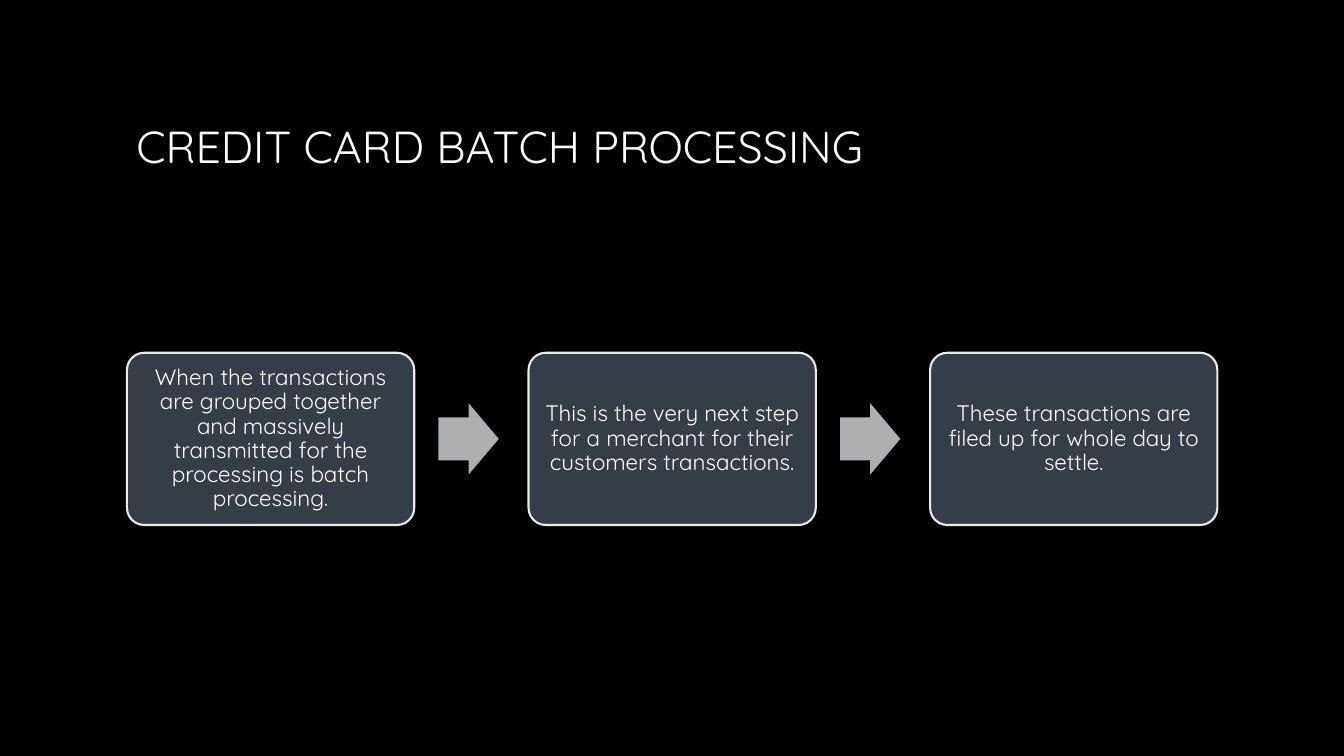
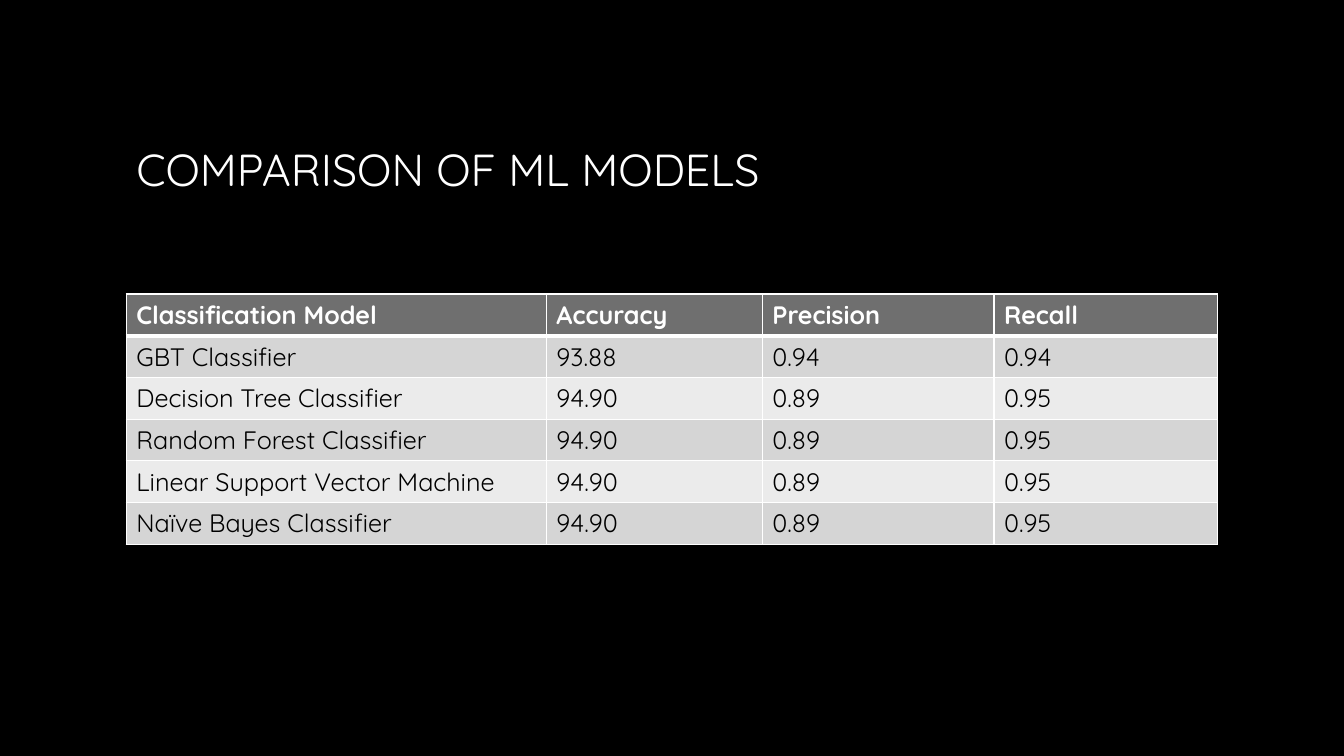
import pptx
import pptx.dml.color
import pptx.enum.shapes
import pptx.enum.text
import pptx.oxml
import pptx.oxml.ns
import pptx.util
from pptx.util import Cm

RGBColor = pptx.dml.color.RGBColor
MSO_SHAPE = pptx.enum.shapes.MSO_SHAPE
PP_ALIGN = pptx.enum.text.PP_ALIGN
MSO_ANCHOR = pptx.enum.text.MSO_ANCHOR

BLACK = RGBColor(0x00, 0x00, 0x00)
WHITE = RGBColor(0xFF, 0xFF, 0xFF)
SLATE = RGBColor(0x36, 0x3D, 0x46)
ARROW_GRAY = RGBColor(0xAE, 0xAF, 0xB1)
HEADER_GRAY = RGBColor(0x6F, 0x6F, 0x6F)
ROW_DARK = RGBColor(0xD5, 0xD5, 0xD5)
ROW_LIGHT = RGBColor(0xEB, 0xEB, 0xEB)
FONT = "Quicksand"
TITLE_ONLY = 5
LEFT, WIDTH = Cm(3.18), Cm(27.51)

STEPS = [
    "When the transactions are grouped together and massively "
    "transmitted for the processing is batch processing.",
    "This is the very next step for a merchant for their customers transactions.",
    "These transactions are filed up for whole day to settle.",
]
MODELS = [
    ("Classification Model", "Accuracy", "Precision", "Recall"),
    ("GBT Classifier", "93.88", "0.94", "0.94"),
    ("Decision Tree Classifier", "94.90", "0.89", "0.95"),
    ("Random Forest Classifier", "94.90", "0.89", "0.95"),
    ("Linear Support Vector Machine", "94.90", "0.89", "0.95"),
    ("Naïve Bayes Classifier", "94.90", "0.89", "0.95"),
]
COLUMN_WIDTHS = [Cm(10.59), Cm(5.44), Cm(5.84), Cm(5.64)]


def add_run(p, text, size, color, bold=False):
    """Add one formatted run to a paragraph."""
    r = p.add_run()
    r.text = text
    r.font.name = FONT
    r.font.size = pptx.util.Pt(size)
    r.font.bold = bold
    r.font.color.rgb = color


def add_slide(prs, title, title_height):
    """Add a slide with its title in the shared style."""
    s = prs.slides.add_slide(prs.slide_layouts[TITLE_ONLY])
    sp = s.shapes.title
    sp.left, sp.top, sp.width, sp.height = LEFT, Cm(1.7), WIDTH, title_height
    tf = sp.text_frame
    tf.auto_size = pptx.enum.text.MSO_AUTO_SIZE.NONE
    tf.vertical_anchor = MSO_ANCHOR.MIDDLE
    p = tf.paragraphs[0]
    p.alignment = PP_ALIGN.LEFT
    p.line_spacing = 0.9
    add_run(p, title, 32, WHITE)
    return s


def add_filled_shape(s, kind, left, top, width, height, fill, adjustments):
    """Add a flat preset shape without an outline."""
    sp = s.shapes.add_shape(kind, left, top, width, height)
    for i, value in enumerate(adjustments):
        sp.adjustments[i] = value
    sp.shadow.inherit = False
    sp.fill.solid()
    sp.fill.fore_color.rgb = fill
    sp.line.fill.background()
    return sp


def add_step(s, left, top, width, height, text):
    """Add a rounded, outlined box holding one process step."""
    sp = add_filled_shape(s, MSO_SHAPE.ROUNDED_RECTANGLE, left, top, width, height,
                          SLATE, [0.1])
    sp.line.color.rgb = ROW_LIGHT
    sp.line.width = pptx.util.Pt(1.5)
    tf = sp.text_frame
    tf.word_wrap = True
    tf.vertical_anchor = MSO_ANCHOR.MIDDLE
    tf.margin_left = tf.margin_right = tf.margin_top = tf.margin_bottom = Cm(0.18)
    p = tf.paragraphs[0]
    p.alignment = PP_ALIGN.CENTER
    p.line_spacing = 0.9
    add_run(p, text, 16, WHITE)


def add_process(s, steps):
    """Add equally spaced steps with an arrow between neighbours."""
    top, width, height, pitch = Cm(8.89), Cm(7.24), Cm(4.34), Cm(10.12)
    arrow_width, arrow_height = Cm(1.52), Cm(1.8)
    for i, text in enumerate(steps):
        left = Cm(3.2) + i * pitch
        add_step(s, left, top, width, height, text)
        if i < len(steps) - 1:
            add_filled_shape(s, MSO_SHAPE.RIGHT_ARROW, left + Cm(7.85),
                             top + (height - arrow_height) // 2,
                             arrow_width, arrow_height, ARROW_GRAY, [0.6, 0.5])


def set_borders(cell, top_points, bottom_points):
    """Draw white borders around a cell, with 1 pt sides."""
    tc_pr = cell._tc.get_or_add_tcPr()
    widths = {"lnL": 1, "lnR": 1, "lnT": top_points, "lnB": bottom_points}
    for side, points in widths.items():
        tc_pr.append(pptx.oxml.parse_xml(
            f'<a:{side} {pptx.oxml.ns.nsdecls("a")} w="{pptx.util.Pt(points)}">'
            f'<a:solidFill><a:srgbClr val="{WHITE}"/></a:solidFill></a:{side}>'))


def add_model_table(s, rows, column_widths):
    """Add a table with a dark header and alternating row fills."""
    row_height = Cm(1.03)
    table = s.shapes.add_table(len(rows), len(column_widths), LEFT, Cm(7.41),
                               WIDTH, row_height * len(rows)).table
    for column, width in zip(table.columns, column_widths):
        column.width = width
    for i, values in enumerate(rows):
        header = i == 0
        fill = HEADER_GRAY if header else (ROW_LIGHT, ROW_DARK)[i % 2]
        table.rows[i].height = row_height
        for j, value in enumerate(values):
            cell = table.cell(i, j)
            set_borders(cell, 3 if i == 1 else 1, 3 if header else 1)
            cell.fill.solid()
            cell.fill.fore_color.rgb = fill
            add_run(cell.text_frame.paragraphs[0], value, 18,
                    WHITE if header else BLACK, header)


def main():
    """Build and save the presentation."""
    prs = pptx.Presentation()
    prs.slide_width, prs.slide_height = Cm(33.87), Cm(19.05)
    background = prs.slide_master.background.fill
    background.solid()
    background.fore_color.rgb = BLACK

    s = add_slide(prs, "CREDIT CARD BATCH PROCESSING", Cm(4.09))
    add_process(s, STEPS)

    s = add_slide(prs, "COMPARISON OF ML MODELS", Cm(5.28))
    add_model_table(s, MODELS, COLUMN_WIDTHS)

    prs.save("out.pptx")


main()
